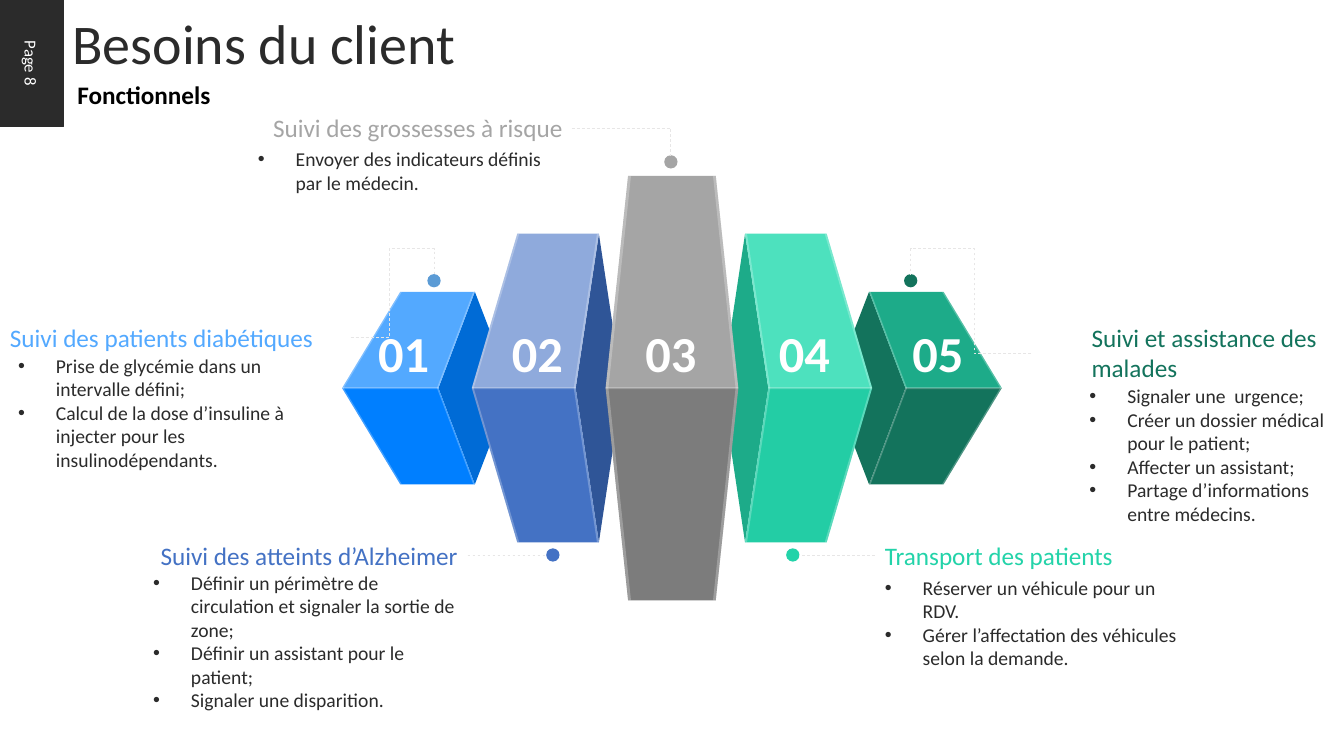
from pptx import Presentation
from pptx.dml.color import RGBColor
from pptx.enum.dml import MSO_LINE_DASH_STYLE as Dash
from pptx.enum.shapes import MSO_CONNECTOR as Connector, MSO_SHAPE as Preset
from pptx.enum.text import MSO_ANCHOR as Anchor, MSO_AUTO_SIZE as AutoSize, PP_ALIGN as Align
from pptx.oxml.ns import qn
from pptx.oxml.xmlchemy import OxmlElement as Xml
from pptx.util import Pt

SLIDE_W, SLIDE_H = 960, 540
INK, GUIDE, WHITE = "2B2B2B", "E7E6E6", "FFFFFF"
AXIS, MIDDLE = SLIDE_W / 2, 277.2


def paint(color_format, hex_color):
    """Set a colour from a hex string."""
    color_format.rgb = RGBColor.from_string(hex_color)


def fill_plain(shape, color):
    """Fill a shape with one colour, without line or shadow."""
    shape.shadow.inherit = False
    shape.fill.solid()
    paint(shape.fill.fore_color, color)
    shape.line.fill.background()


def add_words(paragraph, words, size, color, bold=False):
    """Add one formatted run."""
    run = paragraph.add_run()
    run.text = words
    run.font.name, run.font.size, run.font.bold = "Calibri", Pt(size), bold
    paint(run.font.color, color)


def add_text(slide, box, lines, size, color, bold=False, align=Align.LEFT,
             wrap=True, anchor=Anchor.TOP, indent=0, bullets=False):
    """Place a text box holding one paragraph per line."""
    frame = slide.shapes.add_textbox(*map(Pt, box)).text_frame
    frame.word_wrap, frame.vertical_anchor = wrap, anchor
    frame.auto_size = AutoSize.SHAPE_TO_FIT_TEXT
    for number, words in enumerate(lines):
        paragraph = frame.add_paragraph() if number else frame.paragraphs[0]
        paragraph.alignment = align
        properties = paragraph._p.get_or_add_pPr()
        if indent:
            properties.set("marL", str(Pt(indent)))
        if bullets:
            properties.set("indent", str(-Pt(indent)))
            for tag, key, value in (("a:buFont", "typeface", "Arial"), ("a:buChar", "char", "•")):
                mark = Xml(tag)
                mark.set(key, value)
                properties.append(mark)
        add_words(paragraph, words, size, color, bold)


def add_polygon(slide, points, color, alpha=None):
    """Draw a closed outline, optionally translucent."""
    corners = [(Pt(x), Pt(y)) for x, y in points]
    builder = slide.shapes.build_freeform(*corners[0], scale=1.0)
    builder.add_line_segments(corners[1:], close=True)
    polygon = builder.convert_to_shape()
    fill_plain(polygon, color)
    if alpha:
        opacity = Xml("a:alpha")
        opacity.set("val", str(alpha * 1000))
        polygon.element.spPr.find(".//" + qn("a:srgbClr")).append(opacity)


def add_prism(slide, direction, block, colors):
    """Draw a block whose corner offsets run outwards from the central axis."""
    tip, top_outer, top_inner, ridge, far, half, edge = block
    upper, lower, side = colors

    def at(offset, rise=0):
        return AXIS + direction * offset, MIDDLE - rise

    def highlight(end, bend, width):
        outline = [at(end, half), at(bend), at(end, -half),
                   at(end + width, -half), at(bend + width), at(end + width, half)]
        add_polygon(slide, outline, WHITE, 25)

    if far is not None:
        add_polygon(slide, [at(ridge), at(top_inner, half), at(far), at(top_inner, -half)], side)
    for color, rise in ((upper, half), (lower, -half)):
        add_polygon(slide, [at(ridge), at(top_inner, rise), at(top_outer, rise), at(tip)], color)
    strip = [at(ridge, -0.7), at(ridge, 0.7), at(tip - 0.4, 0.7), at(tip), at(tip - 0.4, -0.7)]
    add_polygon(slide, strip, WHITE, 25)
    highlight(top_outer, tip, -edge)
    highlight(top_inner, ridge, edge)


def add_blocks(slide):
    """Draw the five numbered blocks, mirrored around the central one."""
    outer = (235.6, 194, 140.8, 166.8, 114.3, 68.8, 1.1)
    inner = (143, 110.5, 52.2, 68.8, 35.6, 110.2, 1.4)
    centre = (47.4, 31.3, -31.3, -47.4, None, 151.6, 2)
    for direction, block, colors in (
        (-1, outer, ("53A9FF", "007FFF", "006BD6")),
        (-1, inner, ("8FAADC", "4472C4", "2F5597")),
        (1, outer, ("1DAB89", "13735C", "13735C")),
        (1, inner, ("4DE1BE", "23CDA5", "1DAB89")),
        (1, centre, ("A5A5A5", "7C7C7C", None)),
    ):
        add_prism(slide, direction, block, colors)
    for place in range(5):
        middle = AXIS - 0.8 + (place - 2) * 95.4
        add_text(slide, (middle - 25.5, 226.2, 51, 51), [f"0{place + 1}"], 36, WHITE, True,
                 Align.CENTER, wrap=False, anchor=Anchor.MIDDLE)


def add_callout(slide, box, color, title, details, offset, align=Align.LEFT, indent=0):
    """Place a heading in its box and a bulleted list offset from that box."""
    left, top = box[:2]
    shift, drop, width, height = offset
    add_text(slide, box, [title], 18, color, align=align, indent=indent)
    add_text(slide, (left + shift, top + drop, width, height), details, 14, INK,
             indent=27, bullets=True)


def add_guide(slide, start, end, preset="line", bends=()):
    """Draw a dashed guide, straight or bent, between two points."""
    guide = slide.shapes.add_connector(Connector.STRAIGHT, *map(Pt, start + end))
    geometry = guide._element.spPr.find(qn("a:prstGeom"))
    geometry.set("prst", preset)
    adjustments = geometry.find(qn("a:avLst"))
    for number, bend in enumerate(bends, 1):
        adjustment = Xml("a:gd")
        adjustment.set("name", f"adj{number}")
        adjustment.set("fmla", f"val {round(bend * 100000)}")
        adjustments.append(adjustment)
    paint(guide.line.color, GUIDE)
    guide.line.width, guide.line.dash_style = Pt(0.5), Dash.DASH
    guide._element.spPr.append(Xml("a:effectLst"))


def add_dot(slide, x, y, color, diameter=9.5):
    """Centre an anchor dot on a point."""
    corner = Pt(x - diameter / 2), Pt(y - diameter / 2)
    fill_plain(slide.shapes.add_shape(Preset.OVAL, *corner, Pt(diameter), Pt(diameter)), color)


def add_header(slide):
    """Draw the page tab, the title and the subtitle."""
    tab = slide.shapes.add_shape(Preset.RECTANGLE, Pt(-23.2), Pt(22.2), Pt(91), Pt(46))
    fill_plain(tab, INK)
    paint(tab.line.color, INK)
    tab.line.width, tab.rotation = Pt(0.75), 90
    tab.text_frame.vertical_anchor = Anchor.MIDDLE
    label = tab.text_frame.paragraphs[0]
    label.alignment = Align.CENTER
    add_words(label, "Page 8", 12, WHITE)
    add_text(slide, (44.8, 2.2, 510, 55.7), ["Besoins du client"], 40, INK)
    add_text(slide, (48.2, 53.3, 295, 29), ["Fonctionnels"], 18, "000000", True)


def add_needs(slide):
    """Place the five callouts with their dots and guides."""
    add_callout(slide, (0, 226.8, 250.5, 29), "53A9FF", "Suivi des patients diabétiques",
                ["Prise de glycémie dans un intervalle défini;",
                 "Calcul de la dose d’insuline à injecter pour les insulinodépendants."],
                (5.8, 22.3, 212.4, 92))
    add_callout(slide, (88.6, 382.3, 245.5, 29), "4472C4", "Suivi des atteints d’Alzheimer",
                ["Définir un périmètre de circulation et signaler la sortie de zone;",
                 "Définir un assistant pour le patient;", "Signaler une disparition."],
                (13.7, 21.6, 231.1, 109), Align.RIGHT)
    add_callout(slide, (162, 77, 247, 29), "A5A5A5", "Suivi des grossesses à risque",
                ["Envoyer des indicateurs définis par le médecin."],
                (15.1, 24.5, 231.1, 41), Align.RIGHT)
    add_callout(slide, (736.6, 226.8, 211.7, 51), "13735C", "Suivi et assistance des malades",
                ["Signaler une  urgence;", "Créer un dossier médical pour le patient;",
                 "Affecter un assistant;", "Partage d’informations entre médecins."],
                (34.5, 43.9, 188.6, 109), indent=36)
    add_callout(slide, (625, 382.3, 211.7, 29), "23D3A9", "Transport des patients",
                ["Réserver un véhicule pour un RDV.",
                 "Gérer l’affectation des véhicules selon la demande."],
                (0, 25.2, 231.1, 75))
    for x, y, color in ((479.2, 115.6, "A5A5A5"), (394.9, 396.4, "4472C4"),
                        (310, 200.5, "5B9BD5"), (566.3, 396.4, "23D3A9"),
                        (650.5, 200.5, "13735C")):
        add_dot(slide, x, y, color)
    add_guide(slide, (408.5, 91.4), (479, 111.2), "bentConnector2")
    add_guide(slide, (250.5, 241.2), (310, 195.8), "bentConnector4", (0.461, 1.398))
    add_guide(slide, (736.6, 252.5), (650.5, 195.8), "bentConnector4", (0.473, 1.319))
    add_guide(slide, (334, 396.7), (390.2, 396.7))
    add_guide(slide, (625, 396.7), (571, 396.7))


def main():
    """Build and save the slide."""
    deck = Presentation()
    deck.slide_width, deck.slide_height = Pt(SLIDE_W), Pt(SLIDE_H)
    slide = deck.slides.add_slide(deck.slide_layouts[6])
    add_blocks(slide)
    add_needs(slide)
    add_header(slide)
    deck.save("out.pptx")


if __name__ == "__main__":
    main()
